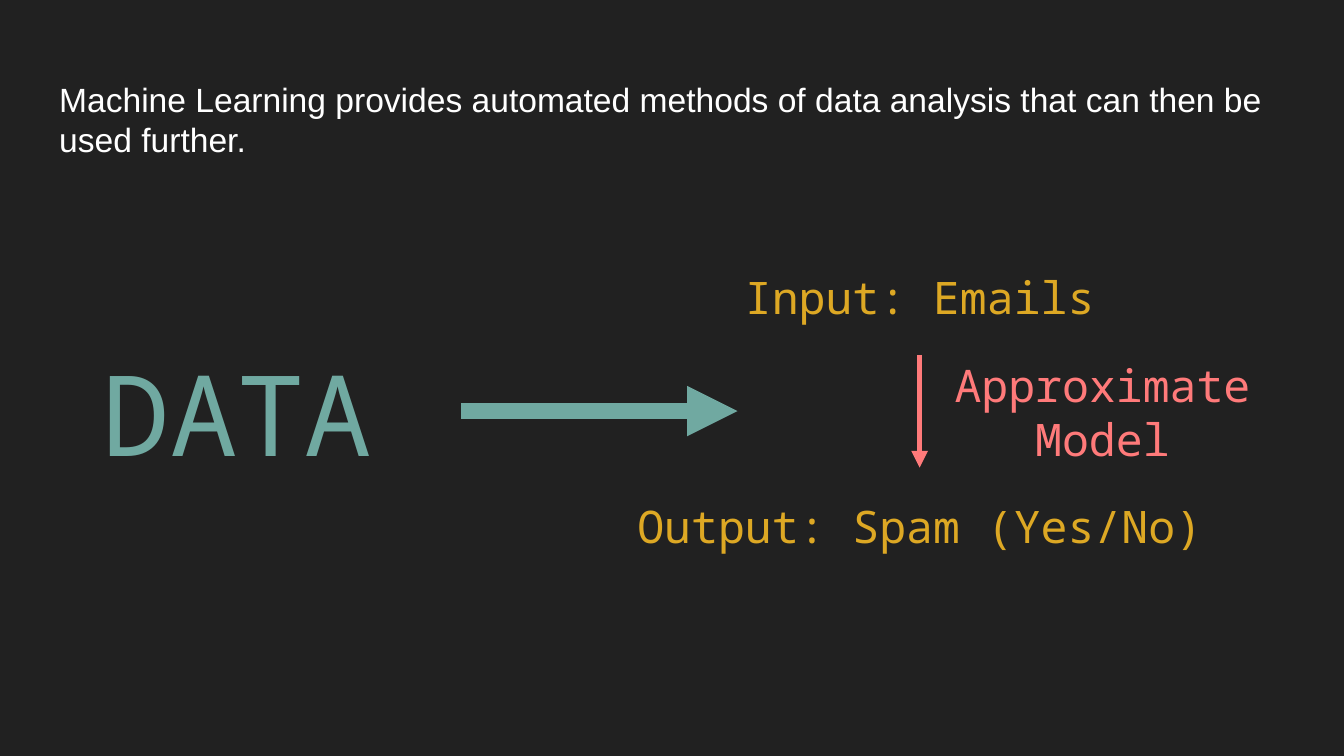
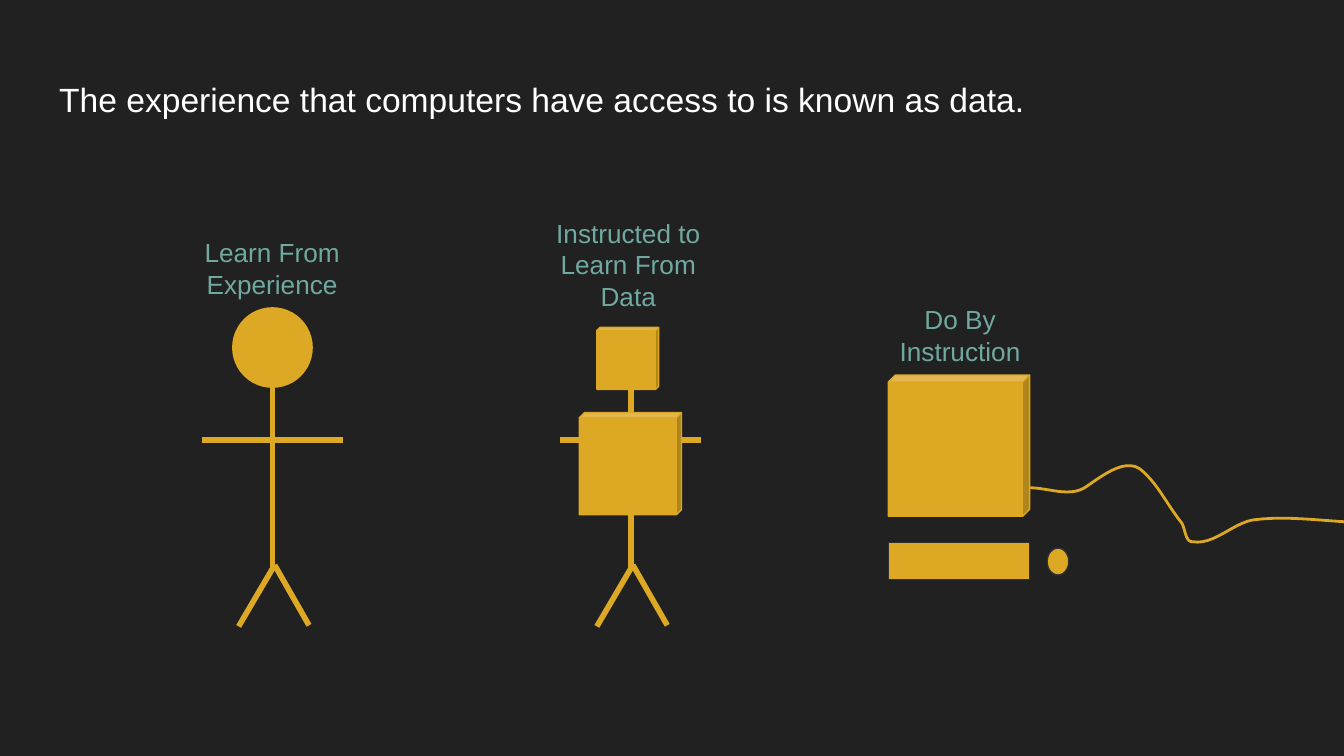
from dataclasses import dataclass
from typing import NamedTuple

from lxml import etree
from pptx import Presentation
from pptx.dml.color import RGBColor
from pptx.enum import shapes, text
from pptx.oxml import ns
from pptx.util import Cm, Pt


@dataclass(frozen=True)
class Theme:
    background: str = "212121"
    white: str = "FFFFFF"
    gold: str = "DDA824"
    teal: str = "70A9A1"
    coral: str = "FF7A7A"
    outline: str = "303030"
    sans: str = "Arial"
    mono: str = "Noto Sans Mono"
    label_size: float = 14
    title_size: float = 18
    step_size: float = 24
    data_size: float = 60


THEME = Theme()
LIMB_WIDTH = 3
CURVE_STEPS = 12


class Frame(NamedTuple):
    """Left, top, width and height in centimetres."""
    left: float
    top: float
    width: float
    height: float

    def lengths(self) -> list:
        return [Cm(value) for value in self]


class Point(NamedTuple):
    x: float
    y: float


class Label(NamedTuple):
    words: str
    frame: Frame
    color: str
    size: float
    font: str = THEME.mono


class Solid(NamedTuple):
    kind: shapes.MSO_SHAPE
    frame: Frame
    outline: str = THEME.gold


def rgb(color: str) -> RGBColor:
    return RGBColor.from_string(color)


def add_text(page, words: str, frame: Frame, *, color: str, size: float, font: str,
             align=text.PP_ALIGN.CENTER, anchor=text.MSO_ANCHOR.MIDDLE) -> None:
    body = page.shapes.add_textbox(*frame.lengths()).text_frame
    body.word_wrap = True
    body.vertical_anchor = anchor
    body.margin_left = body.margin_right = body.margin_top = body.margin_bottom = Cm(0.25)
    para = body.paragraphs[0]
    para.alignment = align
    span = para.add_run()
    span.text = words
    span.font.name = font
    span.font.size = Pt(size)
    span.font.color.rgb = rgb(color)


def add_label(page, label: Label) -> None:
    add_text(page, label.words, label.frame, color=label.color, size=label.size, font=label.font)


def add_line(page, start: Point, end: Point, color: str, width: float, arrow: bool = False) -> None:
    line = page.shapes.add_connector(shapes.MSO_CONNECTOR.STRAIGHT,
                                     Cm(start.x), Cm(start.y), Cm(end.x), Cm(end.y))
    line.line.color.rgb = rgb(color)
    line.line.width = Pt(width)
    if arrow:
        etree.SubElement(line.line._get_or_add_ln(), ns.qn("a:tailEnd"), type="triangle")
    etree.SubElement(line._element.spPr, ns.qn("a:effectLst"))


def add_solid(page, solid: Solid) -> None:
    box = page.shapes.add_shape(solid.kind, *solid.frame.lengths())
    box.shadow.inherit = False
    box.fill.solid()
    box.fill.fore_color.rgb = rgb(THEME.gold)
    box.line.color.rgb = rgb(solid.outline)
    box.line.width = Pt(0.75)
    if solid.kind == shapes.MSO_SHAPE.CUBE:
        box.adjustments[0] = 0.05


def bezier(start: Point, first: Point, second: Point, end: Point) -> list[Point]:
    """Points along a cubic curve, without its start."""
    points = []
    for step in range(1, CURVE_STEPS + 1):
        t = step / CURVE_STEPS
        weights = ((1 - t) ** 3, 3 * t * (1 - t) ** 2, 3 * t ** 2 * (1 - t), t ** 3)
        corners = (start, first, second, end)
        points.append(Point(sum(w * c.x for w, c in zip(weights, corners)),
                            sum(w * c.y for w, c in zip(weights, corners))))
    return points


def add_curve(page, knots: list[Point], color: str, width: float) -> None:
    """Draw joined cubic curves: a start, then two handles and an end for each."""
    points = [knots[0]]
    for index in range(0, len(knots) - 1, 3):
        points += bezier(*knots[index:index + 4])
    builder = page.shapes.build_freeform(Cm(points[0].x), Cm(points[0].y))
    builder.add_line_segments([(Cm(p.x), Cm(p.y)) for p in points[1:]], close=False)
    curve = builder.convert_to_shape()
    curve.shadow.inherit = False
    curve.fill.background()
    curve.line.color.rgb = rgb(color)
    curve.line.width = Pt(width)


def add_stick_body(page, x: float) -> None:
    """Draw spine, arms and legs around the vertical line at x."""
    hip = Point(x + 0.04, 10.68)
    limbs = [
        (Point(x, 7.32), Point(x, 10.77)),
        (Point(x - 1.33, 8.32), Point(x + 1.33, 8.32)),
        (hip, Point(hip.x - 0.68, 11.84)),
        (hip, Point(hip.x + 0.65, 11.82)),
    ]
    for start, end in limbs:
        add_line(page, start, end, THEME.gold, LIMB_WIDTH)


def add_page(deck, title: str):
    page = deck.slides.add_slide(deck.slide_layouts[6])
    page.background.fill.solid()
    page.background.fill.fore_color.rgb = rgb(THEME.background)
    add_text(page, title, Frame(0.87, 1.24, 23.67, 1.6), color=THEME.white,
             size=THEME.title_size, font=THEME.sans,
             align=text.PP_ALIGN.LEFT, anchor=text.MSO_ANCHOR.TOP)
    return page


def build_model_page(deck) -> None:
    page = add_page(deck, "Machine Learning provides automated methods of data analysis "
                          "that can then be used further.")
    labels = [
        Label("Input: Emails", Frame(10.85, 3.73, 13.06, 3.76), THEME.gold, THEME.step_size),
        Label("Output: Spam (Yes/No)", Frame(10.85, 8.05, 13.06, 3.76), THEME.gold, THEME.step_size),
        Label("Approximate Model", Frame(17.15, 6.71, 7.37, 2.13), THEME.coral, THEME.step_size),
        Label("DATA", Frame(0.89, 6.58, 7.19, 2.39), THEME.teal, THEME.data_size),
    ]
    for label in labels:
        add_label(page, label)
    add_line(page, Point(17.38, 6.71), Point(17.38, 8.84), THEME.coral, 3, arrow=True)
    add_line(page, Point(8.71, 7.77), Point(13.94, 7.77), THEME.teal, 9, arrow=True)


def build_learners_page(deck) -> None:
    page = add_page(deck, "The experience that computers have access to is known as data.")
    person_x, robot_x = 5.15, 11.92
    for x in (robot_x, person_x):
        add_stick_body(page, x)

    kinds = shapes.MSO_SHAPE
    solids = [
        Solid(kinds.OVAL, Frame(person_x - 0.75, 5.82, 1.5, 1.5)),
        Solid(kinds.CUBE, Frame(robot_x - 0.97, 7.8, 1.93, 1.93)),
        Solid(kinds.CUBE, Frame(robot_x - 0.64, 6.19, 1.17, 1.17)),
        Solid(kinds.CUBE, Frame(16.79, 7.09, 2.67, 2.67)),
        Solid(kinds.RECTANGLE, Frame(16.79, 10.26, 2.67, 0.69), THEME.outline),
        Solid(kinds.OVAL, Frame(19.79, 10.36, 0.41, 0.51), THEME.outline),
    ]
    for solid in solids:
        add_solid(page, solid)

    cable = [
        Point(19.46, 9.22),
        Point(19.81, 9.22), Point(20.19, 9.4), Point(20.5, 9.22),
        Point(20.8, 9.02), Point(21.23, 8.66), Point(21.54, 8.86),
        Point(21.87, 9.12), Point(22.05, 9.53), Point(22.33, 9.88),
        Point(22.4, 9.98), Point(22.4, 10.24), Point(22.53, 10.24),
        Point(22.94, 10.31), Point(23.27, 9.91), Point(23.67, 9.83),
        Point(24.41, 9.73), Point(25.15, 9.88), Point(25.88, 9.88),
    ]
    add_curve(page, cable, THEME.gold, 1.5)

    captions = [
        ("Learn From Experience", 3.15, 4.62),
        ("Instructed to Learn From Data", 9.88, 4.55),
        ("Do By Instruction", 16.15, 5.89),
    ]
    for words, left, top in captions:
        add_label(page, Label(words, Frame(left, top, 3.99, 0.89), THEME.teal,
                              THEME.label_size, THEME.sans))


def main() -> None:
    deck = Presentation()
    deck.slide_width, deck.slide_height = Cm(25.4), Cm(14.29)
    build_model_page(deck)
    build_learners_page(deck)
    deck.save("out.pptx")


if __name__ == "__main__":
    main()
